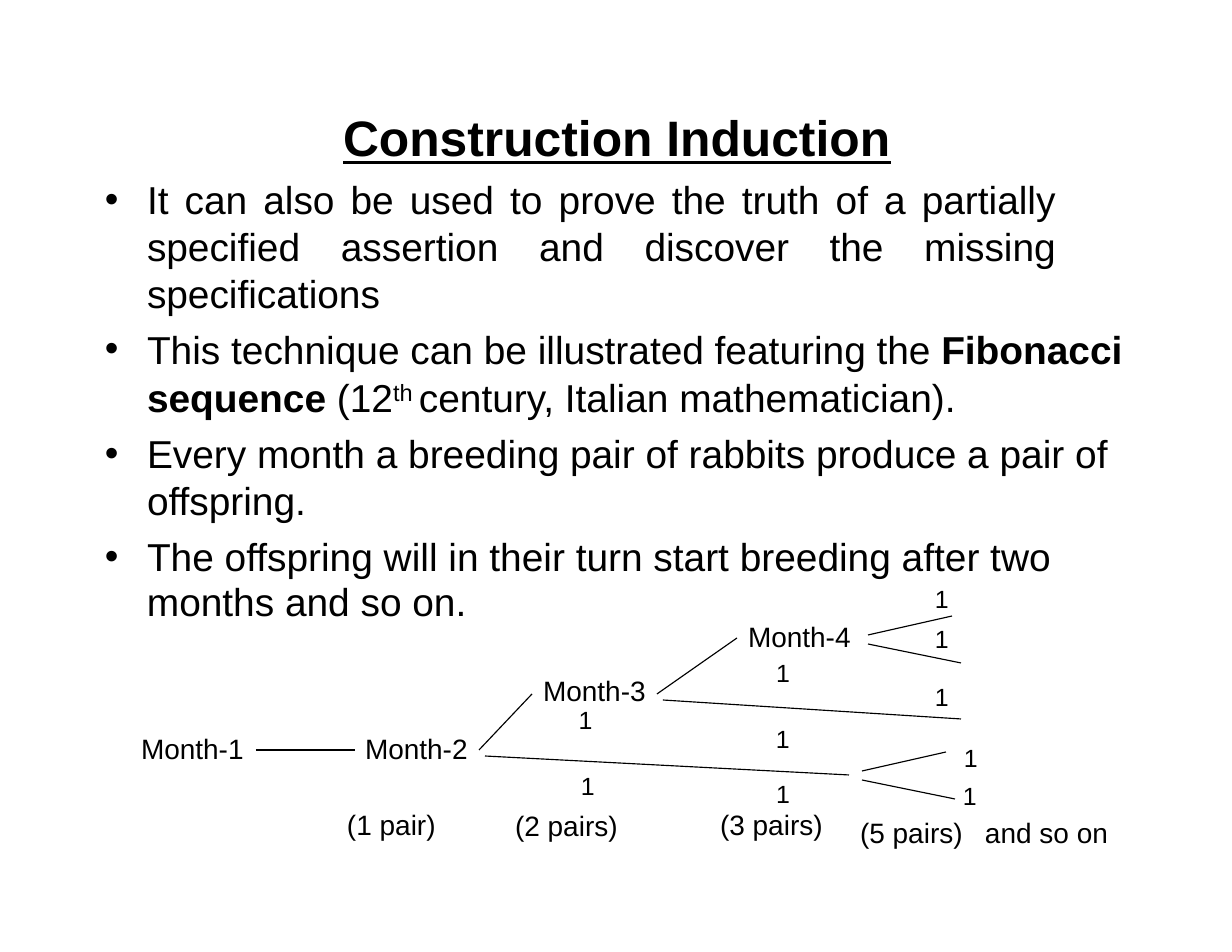
from lxml import etree
from pptx import Presentation
from pptx import util as u
from pptx.dml.color import RGBColor
from pptx.enum import shapes, text
from pptx.oxml.ns import qn

SCALE = 914400 / 112
INK = "000000"
JUST, MID = text.PP_ALIGN.JUSTIFY, text.PP_ALIGN.CENTER


def px(n):
    return u.Emu(round(n * SCALE))


def color(code):
    return RGBColor.from_string(code)


def frame(slide, x, y, w, h):
    tf = slide.shapes.add_textbox(px(x), px(y), px(w), px(h)).text_frame
    tf.word_wrap = True
    tf.margin_left = tf.margin_right = tf.margin_top = tf.margin_bottom = 0
    return tf


def write(tf, words, size=18, bold=False, line=False, raised=0, left=1,
          right=0, before=0, pitch=None, align=None, bullet=False, more=False):
    """Add a run; it opens a new paragraph unless more is set."""
    if more:
        par = tf.paragraphs[-1]
    else:
        par = tf.paragraphs[0] if not tf.paragraphs[0].runs else tf.add_paragraph()
        par.alignment = align
        par.space_before = u.Pt(before)
        if pitch:
            par.line_spacing = u.Pt(pitch)
        props = par._p.get_or_add_pPr()
        props.set("marL", str(px(left)))
        props.set("marR", str(px(right)))
        if bullet:
            props.set("indent", str(-px(42)))
            etree.SubElement(props, qn("a:buFont")).set("typeface", "Arial")
            etree.SubElement(props, qn("a:buChar")).set("char", "•")
    run = par.add_run()
    run.text = words
    font = run.font
    font.name, font.size, font.bold, font.underline = "Arial", u.Pt(size), bold, line
    font.color.rgb = color(INK)
    if raised:
        run._r.get_or_add_rPr().set("baseline", str(raised * 1000))


def link(slide, x1, y1, x2, y2):
    con = slide.shapes.add_connector(
        shapes.MSO_CONNECTOR.STRAIGHT, px(x1), px(y1), px(x2), px(y2))
    con.line.color.rgb = color(INK)
    con.line.width = u.Pt(0.75)
    etree.SubElement(con._element.spPr, qn("a:effectLst"))


def title(slide, x, y, w, h):
    tf = frame(slide, x, y, w, h)
    write(tf, "Construction Induction", size=32, bold=True, line=True, left=0)


def points(slide, x, y, w, h):
    tf = frame(slide, x, y, w, h)
    item = dict(size=25, left=44, bullet=True)
    write(tf, "It can also be used to prove the truth of a partially specified "
          "assertion and discover the missing specifications",
          align=JUST, right=139, **item)
    item["before"] = 6
    write(tf, "This technique can be illustrated featuring the ", **item)
    write(tf, "Fibonacci sequence", size=25, bold=True, more=True)
    write(tf, " (12", size=25, more=True)
    write(tf, "th ", size=26, raised=26, more=True)
    write(tf, "century, Italian mathematician).", size=25, more=True)
    write(tf, "Every month a breeding pair of rabbits produce a pair of offspring.", **item)
    write(tf, "The offspring will in their turn start breeding after two", **item)
    # The last line stands in its own box, clear of the tree
    write(frame(slide, x + 43, y + 402, 324, 48), "months and so on.", size=25)


def tree(slide, x, y):
    # Branches
    for x1, y1, x2, y2 in [
            (116, 166, 215, 166), (339, 166, 392, 110), (517, 110, 597, 54),
            (523, 116, 821, 135), (728, 51, 812, 32), (728, 60, 821, 79),
            (345, 172, 709, 191), (722, 187, 806, 168), (722, 196, 815, 215)]:
        link(slide, x + x1, y + y1, x + x2, y + y2)

    # Labels: place, width, height, then one (words, format) per line
    one = dict(size=16)
    for dx, dy, w, h, rows in [
            (0, 148, 105, 35, [("Month-1", {})]),
            (224, 148, 105, 35, [("Month-2", {})]),
            (402, 92, 105, 58, [("Month-3", dict(pitch=19.9)),
                                ("1", dict(one, pitch=17.4, align=MID, left=0, right=18))]),
            (607, 36, 105, 68, [("Month-4", {}), ("1", dict(one, left=29, before=2.5))]),
            (635, 140, 17, 31, [("1", one)]),
            (794, 0, 17, 71, [("1", one), ("1", dict(one, before=6.4))]),
            (794, 98, 17, 31, [("1", one)]),
            (822, 159, 18, 68, [("1", dict(one, left=2)), ("1", dict(one, before=4.8))]),
            (206, 224, 92, 35, [("(1 pair)", {})]),
            (374, 187, 105, 72, [("1", dict(one, left=67)), ("(2 pairs)", dict(before=4.7))]),
            (579, 196, 105, 64, [("1", dict(one, left=57, pitch=18.5)),
                                 ("(3 pairs)", dict(pitch=20.9))]),
            (719, 232, 105, 35, [("(5 pairs)", {})]),
            (844, 232, 127, 35, [("and so on", {})])]:
        tf = frame(slide, x + dx, y + dy, w, h)
        for words, form in rows:
            write(tf, words, **form)


def main():
    deck = Presentation()
    deck.slide_width, deck.slide_height = px(1232), px(952)
    slide = deck.slides.add_slide(deck.slide_layouts[6])
    title(slide, 343, 107, 600, 64)
    points(slide, 103, 176, 1092, 401)
    tree(slide, 140, 584)
    deck.save("out.pptx")


if __name__ == "__main__":
    main()
